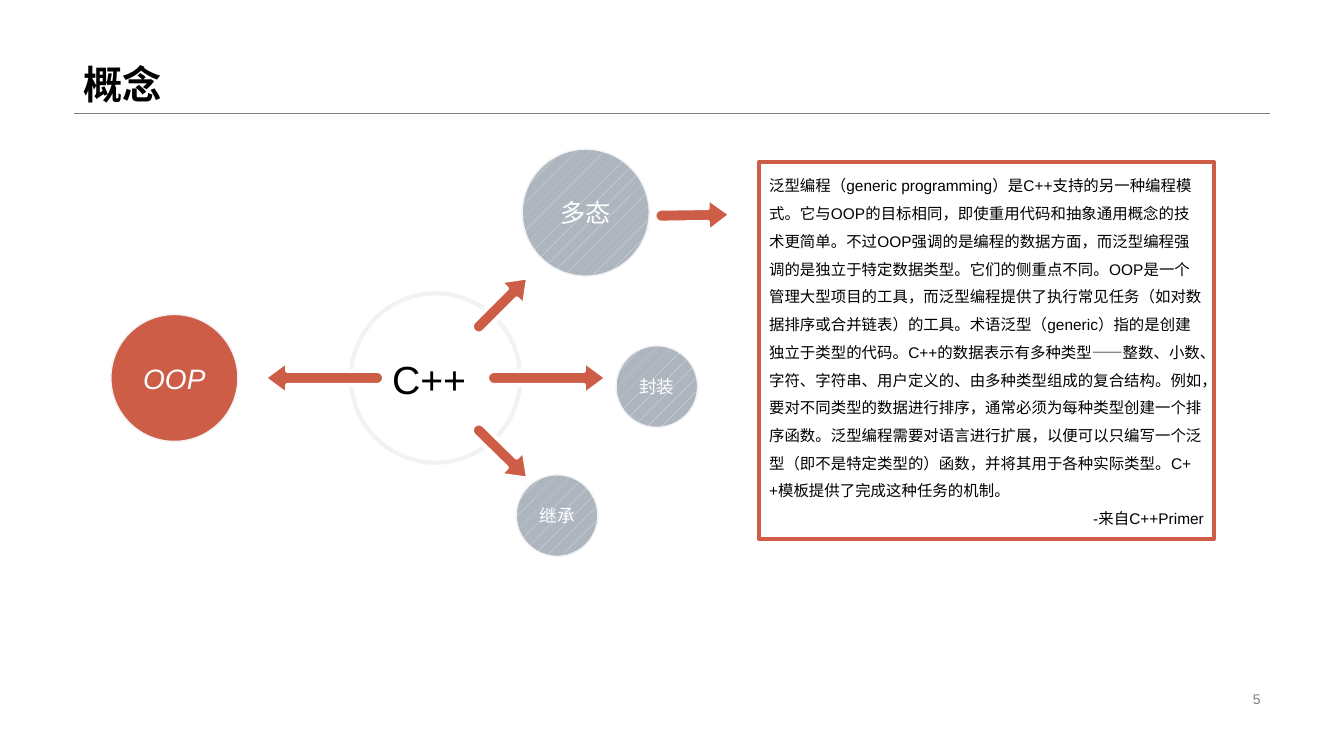
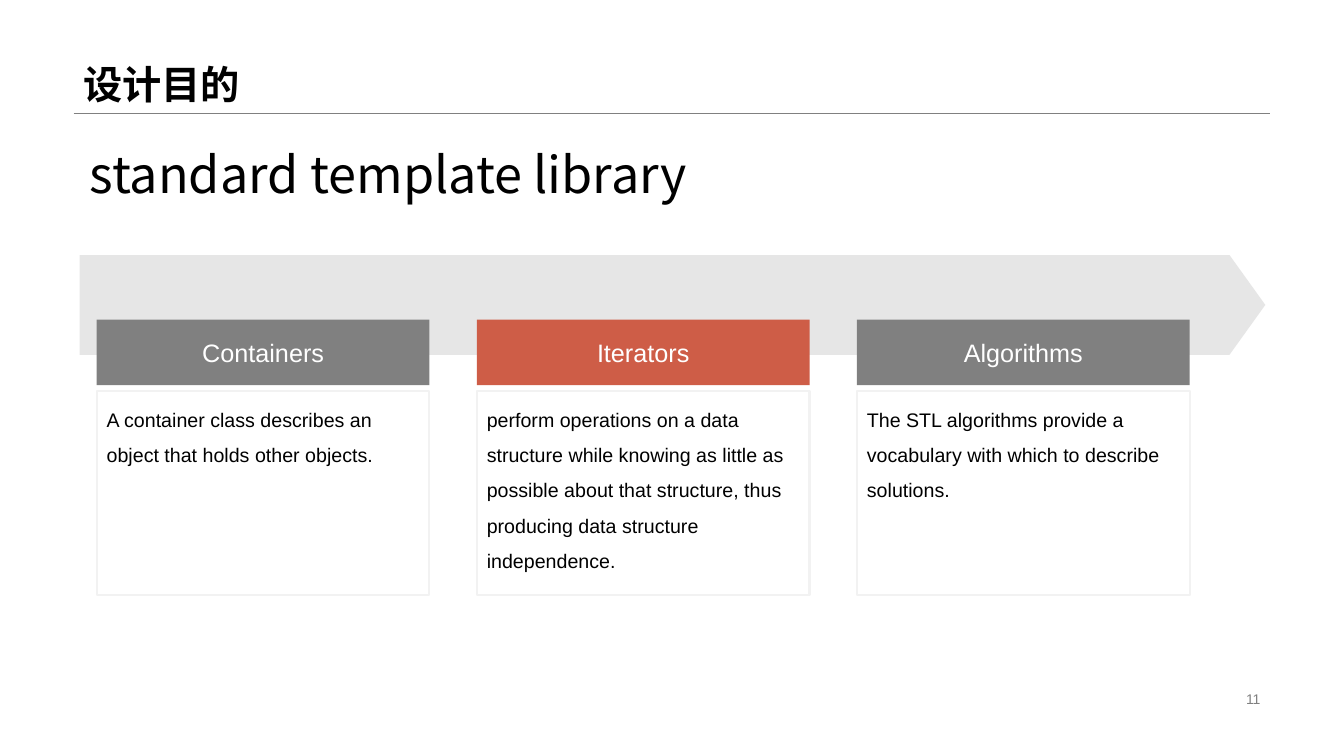
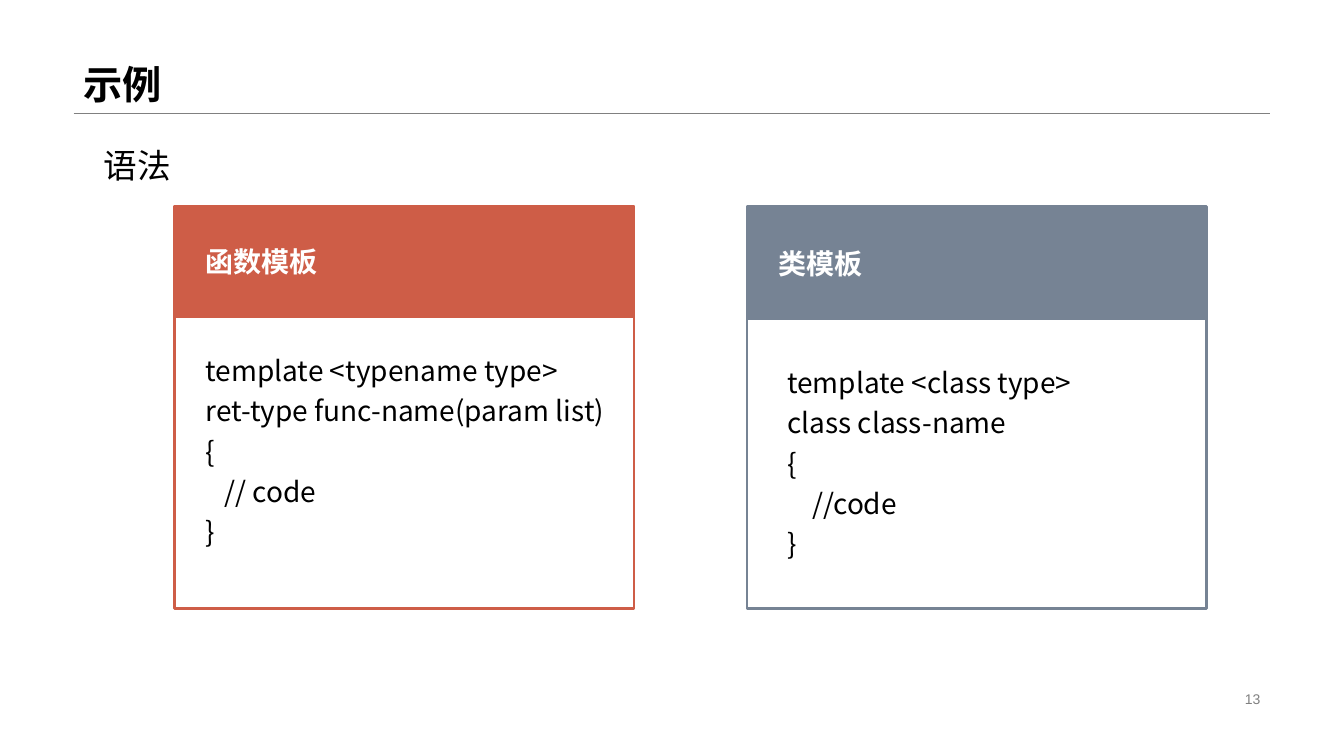
import math

from lxml import etree
from pptx import Presentation
from pptx.dml.color import RGBColor
from pptx.enum.dml import MSO_PATTERN
from pptx.enum.shapes import MSO_CONNECTOR, MSO_SHAPE
from pptx.enum.text import MSO_ANCHOR, PP_ALIGN
from pptx.oxml.ns import qn
from pptx.util import Inches, Pt

LEFT, CENTER, RIGHT = PP_ALIGN.LEFT, PP_ALIGN.CENTER, PP_ALIGN.RIGHT
TOP, MIDDLE, BOTTOM = MSO_ANCHOR.TOP, MSO_ANCHOR.MIDDLE, MSO_ANCHOR.BOTTOM
RECTANGLE, OVAL, PENTAGON = MSO_SHAPE.RECTANGLE, MSO_SHAPE.OVAL, MSO_SHAPE.PENTAGON
STRAIGHT = MSO_CONNECTOR.STRAIGHT
DOTTED = MSO_PATTERN.PERCENT_5

BODY_FONT, CJK_FONT = "Arial", "Noto Sans CJK SC"
BLACK, WHITE, GRAY = "000000", "FFFFFF", "808080"
RED, SLATE, PALE = "CE5D47", "768394", "F2F2F2"
BAND, MIST, MIST_DOTS = "CCCCCC", "ADB5BF", "E4E6EA"

GENERIC_TEXT = (
    "泛型编程（generic programming）是C++支持的另一种编程模式。它与OOP的目标相同，"
    "即使重用代码和抽象通用概念的技术更简单。不过OOP强调的是编程的数据方面，"
    "而泛型编程强调的是独立于特定数据类型。它们的侧重点不同。"
    "OOP是一个管理大型项目的工具，而泛型编程提供了执行常见任务"
    "（如对数据排序或合并链表）的工具。术语泛型（generic）指的是创建独立于类型的代码。"
    "C++的数据表示有多种类型——整数、小数、字符、字符串、用户定义的、"
    "由多种类型组成的复合结构。例如，要对不同类型的数据进行排序，"
    "通常必须为每种类型创建一个排序函数。泛型编程需要对语言进行扩展，"
    "以便可以只编写一个泛型（即不是特定类型的）函数，并将其用于各种实际类型。"
    "C++模板提供了完成这种任务的机制。"
)


def color(value):
    return RGBColor.from_string(value)


class Deck:
    """Holds the presentation, its style and the slide being built."""

    def __init__(self):
        self.deck = Presentation()
        self.deck.slide_width, self.deck.slide_height = Inches(13.33), Inches(7.5)
        self.shapes = None

    def page(self, title, number):
        """Start a slide with its title, rule and page number."""
        self.shapes = self.deck.slides.add_slide(self.deck.slide_layouts[6]).shapes
        rule = self.shapes.add_connector(
            STRAIGHT, Inches(0.73), Inches(1.12), Inches(12.6), Inches(1.12))
        rule.line.color.rgb = color(GRAY)
        rule.line.width = Pt(0.25)
        etree.SubElement(rule._element.spPr, qn("a:effectLst"))
        self.text([title], 0.73, 0, 11.87, 1.12, size=28, bold=True,
                  anchor=BOTTOM, spacing=0.9)
        self.text([str(number)], 9.42, 6.82, 3.18, 0.23, size=10, ink=GRAY,
                  align=RIGHT, anchor=MIDDLE)

    def text(self, lines, left, top, width, height, **style):
        box = self.shapes.add_textbox(
            Inches(left), Inches(top), Inches(width), Inches(height))
        self.fill_text(box.text_frame, lines, **style)

    def fill_text(self, frame, lines, size=18, ink=BLACK, font=BODY_FONT, bold=False,
                  italic=False, align=LEFT, anchor=TOP, spacing=1.0):
        frame.word_wrap = True
        frame.vertical_anchor = anchor
        for index, line in enumerate(lines):
            para = frame.add_paragraph() if index else frame.paragraphs[0]
            para.text = line
            para.alignment = align
            para.line_spacing = spacing
            para.font.size = Pt(size)
            para.font.bold = bold
            para.font.italic = italic
            para.font.color.rgb = color(ink)
            para.font.name = font
            defaults = para._p.pPr.find(qn("a:defRPr"))
            etree.SubElement(defaults, qn("a:ea"), typeface=CJK_FONT)

    def paint(self, shape, fill, line, weight):
        shape.shadow.inherit = False
        if fill:
            shape.fill.solid()
            shape.fill.fore_color.rgb = color(fill)
        else:
            shape.fill.background()
        if line:
            shape.line.color.rgb = color(line)
            shape.line.width = Pt(weight)
        else:
            shape.line.fill.background()

    def shape(self, kind, left, top, width, height, fill=None, line=None, weight=1):
        shape = self.shapes.add_shape(
            kind, Inches(left), Inches(top), Inches(width), Inches(height))
        self.paint(shape, fill, line, weight)
        return shape

    def circle(self, label, left, top, size, text_size, fill=None, italic=False):
        """Draw a labelled circle, dotted when no fill is given."""
        circle = self.shape(OVAL, left, top, size, size, fill, PALE)
        if not fill:
            circle.fill.patterned()
            circle.fill.pattern = DOTTED
            circle.fill.fore_color.rgb = color(MIST_DOTS)
            circle.fill.back_color.rgb = color(MIST)
        frame = circle.text_frame
        frame.margin_left = frame.margin_right = 0
        self.fill_text(frame, [label], size=text_size, ink=WHITE, italic=italic,
                       align=CENTER, anchor=MIDDLE)

    def arrow(self, start, tip):
        """Draw a block arrow with a round tail centred on start."""
        shaft, head, head_length = 0.07, 0.17, 0.23
        length = math.dist(start, tip)
        cosine = (tip[0] - start[0]) / length
        sine = (tip[1] - start[1]) / length
        neck = length - head_length
        tail = [(-shaft * math.sin(math.radians(angle)),
                 shaft * math.cos(math.radians(angle))) for angle in range(0, 181, 15)]
        outline = tail + [(neck, -shaft), (neck, -head), (length, 0),
                          (neck, head), (neck, shaft)]
        points = [(Inches(start[0] + along * cosine - across * sine),
                   Inches(start[1] + along * sine + across * cosine))
                  for along, across in outline]
        builder = self.shapes.build_freeform(*points[0])
        builder.add_line_segments(points[1:], close=True)
        self.paint(builder.convert_to_shape(), RED, WHITE, 3)

    def band(self, left, top, width, height):
        band = self.shape(PENTAGON, left, top, width, height, BAND)
        band.adjustments[0] = 0.359
        fill = band._element.spPr.find(qn("a:solidFill"))
        etree.SubElement(fill[0], qn("a:alpha"), val="48000")

    def column(self, heading, body, left, fill):
        width = 3.3
        frame = self.shape(RECTANGLE, left, 3.88, width, 2.02, None, PALE, 1.5)
        self.fill_text(frame.text_frame, [body], size=14, spacing=1.5)
        header = self.shape(RECTANGLE, left, 3.17, width, 0.65, fill)
        self.fill_text(header.text_frame, [heading], ink=WHITE, align=CENTER,
                       anchor=MIDDLE)

    def code_card(self, heading, code, left, header_top, code_left, code_top, accent):
        top, width = 2.05, 4.56
        header = self.shape(RECTANGLE, left, header_top, width, 1.09, accent, accent, 2)
        header.text_frame.margin_left = Inches(0.31)
        self.fill_text(header.text_frame, [heading], size=20, ink=WHITE, bold=True,
                       anchor=MIDDLE)
        self.shape(RECTANGLE, left, top, width, 3.99, None, accent, 2)
        self.text(code, code_left, code_top, 4.3, 2.16, size=20, font=CJK_FONT,
                  spacing=1.2)


def concept_page(deck):
    deck.page("概念", 5)
    deck.circle("OOP", 1.1, 3.12, 1.26, 20, RED, italic=True)
    deck.circle("封装", 6.11, 3.43, 0.81, 12.6)
    deck.circle("继承", 5.12, 4.71, 0.81, 12.6)
    deck.circle("多态", 5.18, 1.48, 1.26, 18)
    deck.shape(OVAL, 3.48, 2.91, 1.68, 1.68, WHITE, PALE, 3)
    for start, tip in (
        ((3.74, 3.75), (2.62, 3.75)),
        ((4.9, 3.75), (6.02, 3.75)),
        ((4.75, 4.27), (5.24, 4.75)),
        ((4.75, 3.24), (5.24, 2.75)),
        ((6.56, 2.14), (7.25, 2.13)),
    ):
        deck.arrow(start, tip)
    quote = deck.shape(RECTANGLE, 7.53, 1.61, 4.51, 3.74, WHITE, RED, 3)
    deck.fill_text(quote.text_frame, [GENERIC_TEXT, "-来自C++Primer"], size=11,
                   spacing=1.5)
    quote.text_frame.paragraphs[1].alignment = RIGHT
    deck.text(["C++"], 3.79, 3.48, 1.19, 0.57, size=28)


def purpose_page(deck):
    deck.page("设计目的", 11)
    deck.text(["standard template library"], 0.79, 1.37, 10.4, 0.71, size=36,
              font=CJK_FONT)
    deck.band(0.79, 2.53, 11.76, 0.99)
    columns = (
        ("Containers", "A container class describes an object that holds other objects.",
         GRAY),
        ("Iterators", "perform operations on a data structure while knowing as little as "
         "possible about that structure, thus producing data structure independence.", RED),
        ("Algorithms", "The STL algorithms provide a vocabulary with which to describe "
         "solutions.", GRAY),
    )
    left, pitch = 0.96, 3.77
    for index, (heading, body, fill) in enumerate(columns):
        deck.column(heading, body, left + index * pitch, fill)


def example_page(deck):
    deck.page("示例", 13)
    deck.text(["语法"], 0.93, 1.39, 4.13, 0.5, size=24)
    class_code = ["template <class type>", "class class-name", "{", "    //code", "}"]
    function_code = ["template <typename type>", "ret-type func-name(param list)", "{",
                     "   // code", "}"]
    deck.code_card("类模板", class_code, 7.41, 2.07, 7.71, 3.51, SLATE)
    deck.code_card("函数模板", function_code, 1.73, 2.05, 1.94, 3.39, RED)


def main():
    deck = Deck()
    concept_page(deck)
    purpose_page(deck)
    example_page(deck)
    deck.deck.save("out.pptx")


if __name__ == "__main__":
    main()
